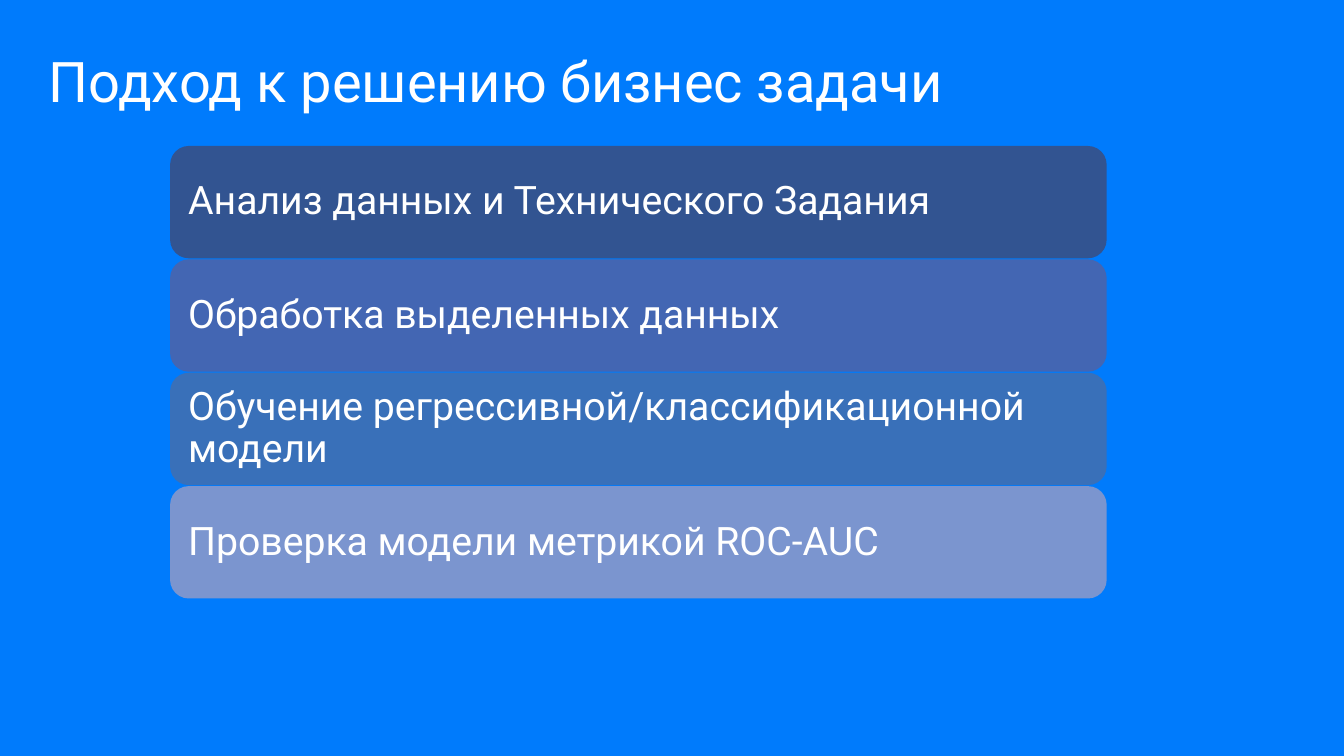
"""Build a slide listing the four steps of solving a business task."""
from pptx import Presentation
from pptx.dml.color import RGBColor
from pptx.enum.shapes import MSO_SHAPE
from pptx.enum.text import MSO_ANCHOR, MSO_AUTO_SIZE, PP_ALIGN
from pptx.util import Pt

PX = 9525
ROUNDED = MSO_SHAPE.ROUNDED_RECTANGLE
MIDDLE = MSO_ANCHOR.MIDDLE
NO_FIT = MSO_AUTO_SIZE.NONE
LEFT = PP_ALIGN.LEFT
TITLE_ONLY = 5

BACKGROUND = RGBColor(0x00, 0x7B, 0xFC)
WHITE = RGBColor(0xFF, 0xFF, 0xFF)
NAVY = RGBColor(0x32, 0x54, 0x91)
INDIGO = RGBColor(0x43, 0x66, 0xB3)
STEEL = RGBColor(0x39, 0x70, 0xB9)
PERIWINKLE = RGBColor(0x7B, 0x95, 0xCF)

STEPS = [
    ("Анализ данных и Технического Задания", NAVY),
    ("Обработка выделенных данных", INDIGO),
    ("Обучение регрессивной/классификационной модели", STEEL),
    ("Проверка модели метрикой ROC-AUC", PERIWINKLE),
]
STEP_LEFT, STEP_TOP, STEP_WIDTH, STEP_HEIGHT = 162, 139, 892, 107
STEP_PITCH = 108


def write(tf, text, size, inset=0, font="Roboto", color=WHITE):
    tf.word_wrap = True
    tf.auto_size = NO_FIT
    tf.vertical_anchor = MIDDLE
    tf.margin_left = tf.margin_right = inset * PX
    tf.margin_top = tf.margin_bottom = inset * PX
    p = tf.paragraphs[0]
    p.alignment = LEFT
    p.line_spacing = 0.9
    r = p.add_run()
    r.text = text
    r.font.name = font
    r.font.size = Pt(size)
    r.font.color.rgb = color


class Deck:
    def __init__(self):
        self.prs = Presentation()
        self.prs.slide_width = 1280 * PX
        self.prs.slide_height = 720 * PX
        self.s = self.prs.slides.add_slide(self.prs.slide_layouts[TITLE_ONLY])
        fill = self.s.background.fill
        fill.solid()
        fill.fore_color.rgb = BACKGROUND

    def title(self, text, x, y, w, h):
        sp = self.s.shapes.title
        sp.left, sp.top, sp.width, sp.height = (v * PX for v in (x, y, w, h))
        write(sp.text_frame, text, size=40)

    def step(self, text, x, y, w, h, color):
        sp = self.s.shapes.add_shape(ROUNDED, *(v * PX for v in (x, y, w, h)))
        sp.shadow.inherit = False
        sp.fill.solid()
        sp.fill.fore_color.rgb = color
        sp.line.fill.background()
        write(sp.text_frame, text, size=28, inset=12)


def main():
    deck = Deck()
    deck.title("Подход к решению бизнес задачи", 46, 46, 1187, 68)
    for i, (text, color) in enumerate(STEPS):
        deck.step(text, STEP_LEFT, STEP_TOP + i * STEP_PITCH,
                  STEP_WIDTH, STEP_HEIGHT, color)
    deck.prs.save("out.pptx")


if __name__ == "__main__":
    main()
